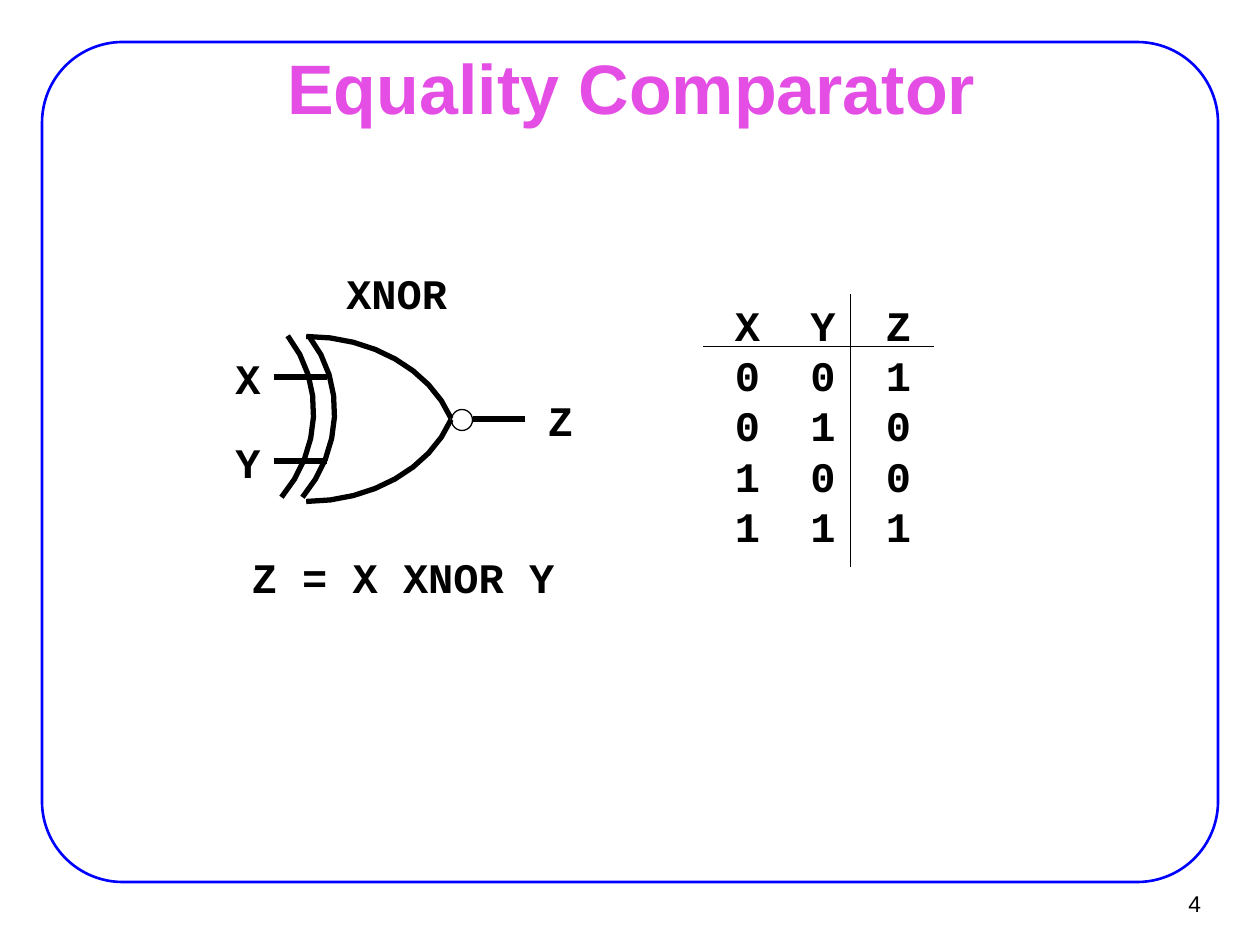
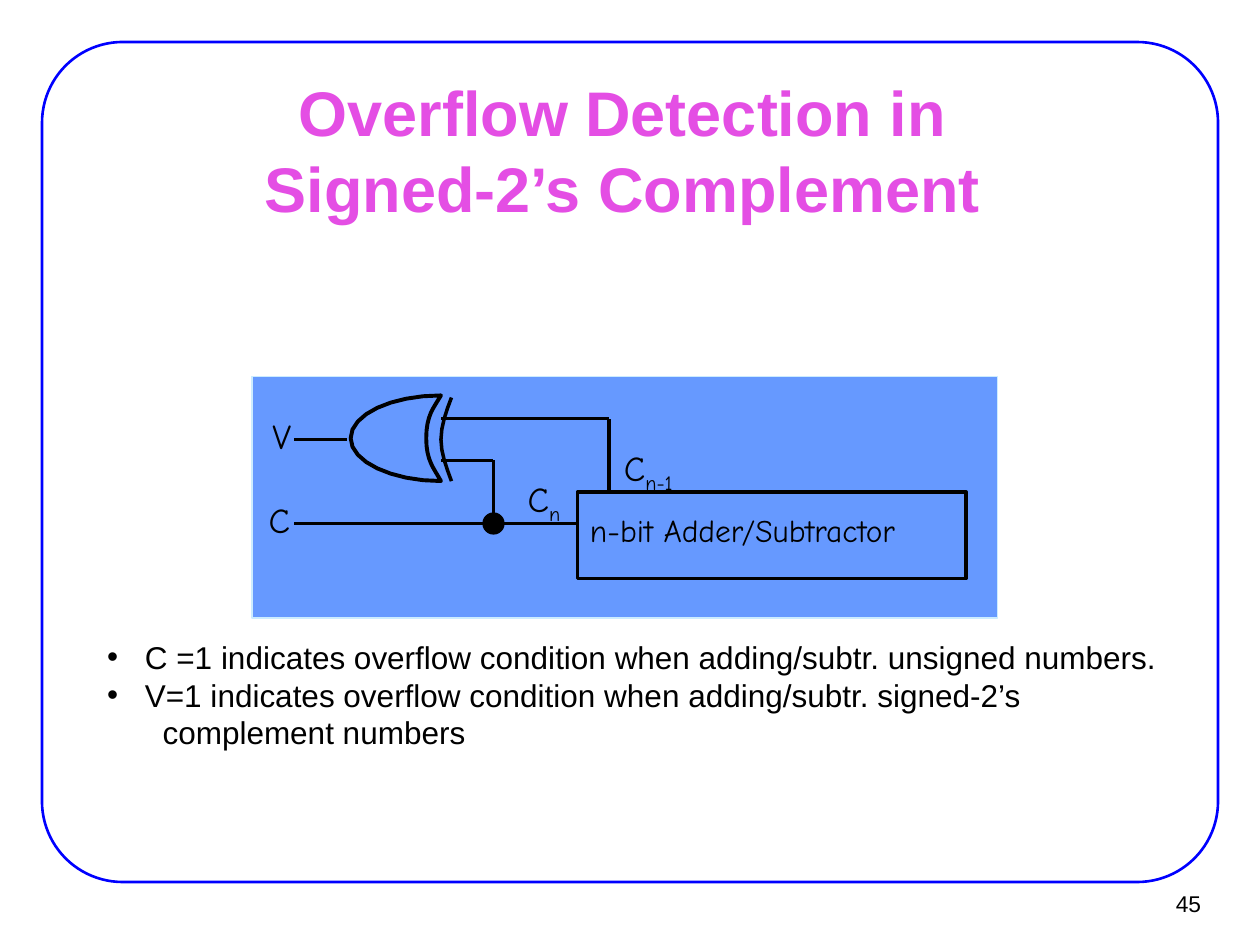
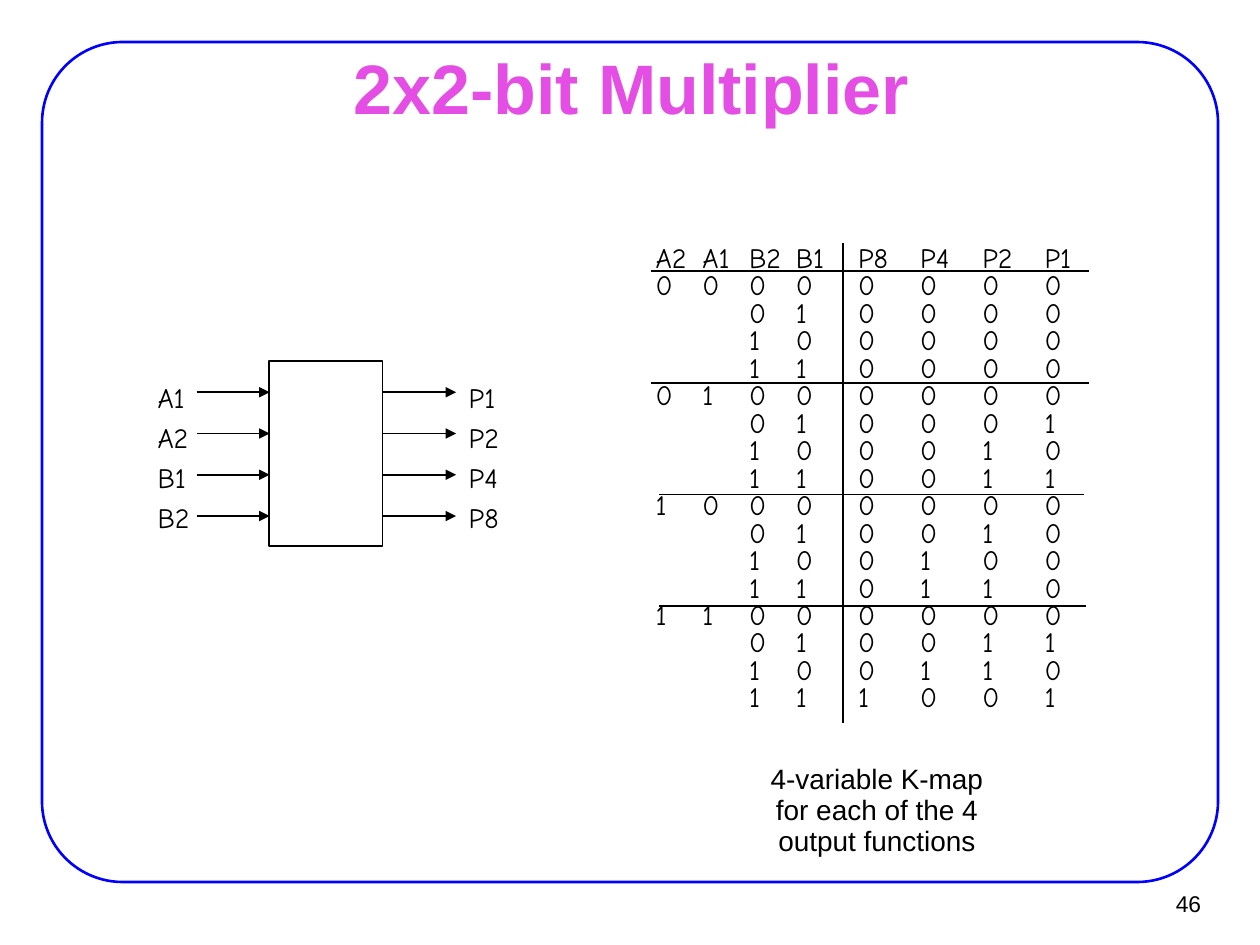
import dataclasses
import itertools

import lxml.etree
import pptx
import pptx.dml.color
import pptx.enum.shapes
import pptx.enum.text
import pptx.oxml.ns
import pptx.util

qn = pptx.oxml.ns.qn
Pt = pptx.util.Pt
Inches = pptx.util.Inches
Align = pptx.enum.text.PP_ALIGN
Anchor = pptx.enum.text.MSO_ANCHOR
AutoSize = pptx.enum.text.MSO_AUTO_SIZE
Preset = pptx.enum.shapes.MSO_SHAPE

COLUMNS = 120
SLIDE_WIDTH, SLIDE_HEIGHT = Inches(10), Inches(7.5)
CELL = SLIDE_WIDTH // COLUMNS


def rgb(value):
    return pptx.dml.color.RGBColor.from_string(value)


def style(name, size, color="000000", bold=False):
    return {"name": name, "size": Pt(size), "bold": bold, "color": rgb(color)}


@dataclasses.dataclass(frozen=True)
class Theme:
    ink = rgb("000000")
    frame = rgb("0000FF")
    panel = rgb("6699FF")
    panel_edge = rgb("CCECFF")
    title = style("Arial", 40, "E44EE4", True)
    long_title = style("Arial", 36, "E44EE4", True)
    body = style("Arial", 18)
    caption = style("Arial", 16)
    page = style("Arial", 13)
    code = style("Courier New", 24, bold=True)
    signal = style("Comic Neue", 20)
    block = style("Comic Neue", 18)
    pin = style("Comic Neue", 16)
    hairline = 0.74
    thin = 0.99
    border = 1.5
    wire = 2
    outline = 2.25
    heavy = 3


THEME = Theme()


@dataclasses.dataclass(frozen=True)
class Box:
    left: float
    top: float
    width: float
    height: float

    def inner(self, left, top, width, height):
        return Box(self.left + left, self.top + top, width, height)

    def point(self, column, row):
        return round((self.left + column) * CELL), round((self.top + row) * CELL)

    def bounds(self):
        return (*self.point(0, 0), round(self.width * CELL), round(self.height * CELL))


def apply(target, values):
    for name, value in values.items():
        setattr(target, name, value)


def apply_font(font, text_style):
    apply(font, {key: value for key, value in text_style.items() if key != "color"})
    font.color.rgb = text_style["color"]


def fill_text(frame, lines, text_style, paragraph_format=None):
    for index, line in enumerate(lines):
        paragraph = frame.paragraphs[0] if index == 0 else frame.add_paragraph()
        apply(paragraph, {"alignment": Align.LEFT, **(paragraph_format or {})})
        paragraph.text = line
        for run in paragraph.runs:
            apply_font(run.font, text_style)


def inset(horizontal, vertical):
    return {
        "margin_left": Inches(horizontal), "margin_right": Inches(horizontal),
        "margin_top": Inches(vertical), "margin_bottom": Inches(vertical),
    }


TIGHT = inset(0.02, 0.03)


def add_text(shapes, box, lines, text_style, paragraph_format=None, frame_format=None):
    shape = shapes.add_textbox(*box.bounds())
    apply(shape.text_frame, {"word_wrap": False, **(frame_format or {})})
    fill_text(shape.text_frame, lines, text_style, paragraph_format)
    return shape


def add_tabbed_text(shapes, box, rows, widths, text_style,
                    paragraph_format=None, frame_format=None):
    lines = ["\t".join(row) for row in rows]
    shape = add_text(shapes, box, lines, text_style, paragraph_format, frame_format)
    for properties in shape.element.iter(qn("a:pPr")):
        stops = lxml.etree.SubElement(properties, qn("a:tabLst"))
        for stop in itertools.accumulate(widths):
            lxml.etree.SubElement(stops, qn("a:tab"), pos=str(round(stop * CELL)), algn="l")


def add_subscripted(shapes, box, symbol, subscript):
    shape = add_text(shapes, box, [symbol], THEME.signal)
    run = shape.text_frame.paragraphs[0].add_run()
    run.text = subscript
    apply_font(run.font, THEME.signal)
    list(shape.element.iter(qn("a:rPr")))[-1].set("baseline", "-25000")


def paint(shape, line, width, fill=None):
    shape.shadow.inherit = False
    if fill is None:
        shape.fill.background()
    else:
        shape.fill.solid()
        shape.fill.fore_color.rgb = fill
    shape.line.color.rgb = line
    shape.line.width = Pt(width)


def add_preset(shapes, preset, box, width, line=THEME.ink, fill=None):
    shape = shapes.add_shape(preset, *box.bounds())
    paint(shape, line, width, fill)
    return shape


def add_line(shapes, box, start, end, width, arrow=False):
    connector = shapes.add_connector(
        pptx.enum.shapes.MSO_CONNECTOR.STRAIGHT, *box.point(*start), *box.point(*end))
    connector.line.color.rgb = THEME.ink
    connector.line.width = Pt(width)
    properties = connector.element.find(qn("p:spPr"))
    if arrow:
        lxml.etree.SubElement(properties.find(qn("a:ln")), qn("a:tailEnd"), type="triangle")
    lxml.etree.SubElement(properties, qn("a:effectLst"))


def curve_points(controls, steps):
    points = [controls[0]]
    for first in range(0, len(controls) - 1, 3):
        section = controls[first:first + 4]
        for step in range(1, steps + 1):
            t = step / steps
            weights = ((1 - t) ** 3, 3 * t * (1 - t) ** 2, 3 * t * t * (1 - t), t ** 3)
            points.append(tuple(
                sum(weight * point[axis] for weight, point in zip(weights, section))
                for axis in (0, 1)))
    return points


def add_curve(shapes, box, controls, width, close=False, steps=8):
    points = [box.point(*point) for point in curve_points(controls, steps)]
    builder = shapes.build_freeform(*points[0])
    builder.add_line_segments(points[1:], close=close)
    shape = builder.convert_to_shape()
    paint(shape, THEME.ink, width)
    return shape


def add_frame(master, slide):
    box = Box(4, 4, 112, 80)
    frame = add_preset(slide.shapes, Preset.ROUNDED_RECTANGLE, box, THEME.border, THEME.frame)
    frame.adjustments[0] = 0.096
    next(frame.element.iter(qn("p:cNvPr"))).set("id", "100")
    master.shapes.element.insert(2, frame.element)


def add_slide(presentation, layout_index, title, number, title_box, title_style):
    slide = presentation.slides.add_slide(presentation.slide_layouts[layout_index])
    shape = slide.shapes.title
    apply(shape, dict(zip(("left", "top", "width", "height"), title_box.bounds())))
    apply(shape.text_frame, {
        "vertical_anchor": Anchor.MIDDLE, "auto_size": AutoSize.NONE, "word_wrap": True,
        **inset(0.11, 0.06)})
    fill_text(shape.text_frame, [title], title_style, {"alignment": Align.CENTER})
    add_text(slide.shapes, Box(108.15, 83.78, 7.32, 4.44), [number], THEME.page,
             {"alignment": Align.RIGHT},
             {"vertical_anchor": Anchor.MIDDLE, **inset(0.09, 0.04)})
    return slide


def draw_xnor_gate(shapes, box):
    upper = [(9.16, 8.04), (15.4, 8.04), (20.92, 11.16), (22.96, 15.84)]
    lower = [(column, 31.8 - row) for column, row in upper]
    back = [(0, 0), (5.65, 1.3), (9.35, 6.54), (9.2, 12.34)]
    for controls in (upper, lower):
        add_curve(shapes, box, controls, THEME.heavy)
    for left in (4.5, 2.5):
        add_curve(shapes, box.inner(left, 9.5, 10, 13), back, THEME.heavy).rotation = 38.9
    for start, end, row in ((11.1, 6.14, 11.9), (11.1, 6.14, 19.9), (30, 25, 15.9)):
        add_line(shapes, box, (start, row), (end, row), THEME.heavy)
    add_preset(shapes, Preset.OVAL, box.inner(23, 15, 2, 2), THEME.hairline)
    for label, left, top, width in (
            ("XNOR", 11.8, 0.9, 12), ("X", 1.24, 9, 4.8), ("Y", 1.24, 17, 4.8),
            ("Z", 31, 13, 4.8), ("Z = X XNOR Y", 2.8, 27.9, 31.2)):
        add_text(shapes, box.inner(left, top, width, 6), [label], THEME.code)


def draw_xnor_table(shapes, box):
    rows = ["XYZ"] + [f"{x}{y}{int(x == y)}" for x, y in itertools.product((0, 1), repeat=2)]
    add_tabbed_text(shapes, box.inner(1.8, -0.1, 19.2, 25.2), rows, [7.2] * 2, THEME.code)
    add_line(shapes, box, (0, 5), (box.width, 5), THEME.hairline)
    add_line(shapes, box, (14, 0), (14, box.height), THEME.hairline)


def draw_overflow_circuit(shapes, box):
    add_preset(shapes, Preset.RECTANGLE, box, THEME.hairline, THEME.panel_edge, THEME.panel)
    add_preset(shapes, Preset.RECTANGLE, box.inner(31, 11, 37, 8.25), THEME.wire)
    add_text(shapes, box.inner(31, 12.24, 38, 4.8), ["n-bit Adder/Subtractor"], THEME.block,
             frame_format={"word_wrap": True})
    body = [(18, 9.96), (17.3, 8.7), (16.6, 8), (16.6, 5.88), (16.6, 3.7), (17.3, 3), (18, 1.8),
            (13.3, 1.8), (9.4, 3.6), (9.4, 5.88), (9.4, 8.1), (13.3, 9.96), (18, 9.96)]
    back = [(19, 2), (18.5, 3.3), (18, 4.7), (18, 6), (18, 7.3), (18.5, 8.6), (19, 9.96)]
    add_curve(shapes, box, body, THEME.outline, close=True)
    add_curve(shapes, box, back, THEME.wire, steps=4)
    for start, end in (((34, 4), (18, 4)), ((31, 14), (4, 14)), ((34, 11), (34, 4)),
                       ((23, 14), (23, 8)), ((23, 8), (18, 8)), ((9, 6), (4, 6))):
        add_line(shapes, box, start, end, THEME.wire)
    add_preset(shapes, Preset.OVAL, box.inner(22, 13, 2, 2), THEME.hairline, fill=THEME.ink)
    add_text(shapes, box.inner(0.75, 3.05, 4.2, 5.28), ["V"], THEME.signal)
    add_text(shapes, box.inner(0.4, 11.05, 4.44, 5.28), ["C"], THEME.signal)
    add_subscripted(shapes, box.inner(25.08, 9.05, 5.52, 5.76), "C", "n")
    add_subscripted(shapes, box.inner(33.12, 6.05, 8.76, 5.76), " C", "n-1")


def write_overflow_notes(placeholder, box):
    apply(placeholder, dict(zip(("left", "top", "width", "height"), box.bounds())))
    apply(placeholder.text_frame, {"auto_size": AutoSize.NONE, "word_wrap": True})
    lines = ["C =1 indicates overflow condition when adding/subtr. unsigned numbers.",
             "V=1 indicates overflow condition when adding/subtr. signed-2\u2019s",
             "complement numbers"]
    fill_text(placeholder.text_frame, lines, THEME.body, {"space_before": Pt(0)})
    properties = list(placeholder.element.iter(qn("a:pPr")))
    for item, margin, indent in zip(properties, (0.3, 0.3, 0.44), (-0.3, -0.3, 0)):
        item.set("marL", str(Inches(margin)))
        item.set("indent", str(Inches(indent)))
    lxml.etree.SubElement(properties[-1], qn("a:buNone"))


def draw_multiplier_block(shapes, box):
    for left, labels in ((0.76, ("A1", "A2", "B1", "B2")), (30.4, ("P1", "P2", "P4", "P8"))):
        add_text(shapes, box.inner(left, 1.2, 4, 15.84), labels, THEME.pin,
                 {"line_spacing": 1.2}, TIGHT)
    add_preset(shapes, Preset.RECTANGLE, box.inner(11.65, 0.4, 10.8, 17.64), THEME.thin)
    for start, pin in itertools.product((4.72, 22.48), range(4)):
        row = 3.36 + 3.93 * pin
        add_line(shapes, box, (start, row), (start + 6.96, row), THEME.thin, arrow=True)


def draw_product_table(shapes, box):
    rows = [("A2", "A1", "B2", "B1", "P8", "P4", "P2", "P1")]
    for a, b in itertools.product(range(4), repeat=2):
        group = tuple(f"{a:02b}") if b == 0 else ("", "")
        rows.append(group + tuple(f"{b:02b}{a * b:04b}"))
    add_tabbed_text(shapes, box.inner(0.16, 0.1, 42.36, 49.08), rows,
                    [4.45] * 3 + [5.92] * 4, THEME.pin, {"line_spacing": Pt(15.7)}, TIGHT)
    for index, (start, end) in enumerate(((0, 41.65), (0, 41.65), (0.76, 41.2), (0.76, 41.4))):
        row = 2.82 + 10.64 * index
        add_line(shapes, box, (start, row), (end, row), THEME.thin)
    add_line(shapes, box, (18.25, 0.16), (18.25, 45.88), THEME.thin)


def build_comparator(presentation, title_box):
    slide = add_slide(presentation, 5, "Equality Comparator", "4", title_box, THEME.title)
    add_frame(presentation.slide_master, slide)
    draw_xnor_gate(slide.shapes, Box(20, 24, 36, 34))
    draw_xnor_table(slide.shapes, Box(67, 28, 22, 26))


def build_overflow(presentation):
    slide = add_slide(presentation, 1, "Overflow Detection in \vSigned-2\u2019s Complement ", "45",
                      Box(9.12, 7.95, 102, 12.48), THEME.long_title)
    draw_overflow_circuit(slide.shapes, Box(24, 35.86, 71, 23))
    write_overflow_notes(slide.placeholders[1], Box(9, 60.15, 110, 12))


def build_multiplier(presentation, title_box):
    slide = add_slide(presentation, 5, "2x2-bit Multiplier", "46", title_box, THEME.title)
    draw_multiplier_block(slide.shapes.add_group_shape().shapes, Box(14, 34, 32, 18))
    draw_product_table(slide.shapes, Box(62.05, 23, 42, 46))
    add_text(slide.shapes, Box(69.05, 72.4, 28.92, 10.56),
             ["4-variable K-map", "for each of the 4", "output functions"], THEME.caption,
             {"alignment": Align.CENTER, "line_spacing": Pt(17.7)}, TIGHT)


presentation = pptx.Presentation()
apply(presentation, {"slide_width": SLIDE_WIDTH, "slide_height": SLIDE_HEIGHT})
short_title_box = Box(9.12, 5.28, 102, 5.88)
build_comparator(presentation, short_title_box)
build_overflow(presentation)
build_multiplier(presentation, short_title_box)
presentation.save("out.pptx")
